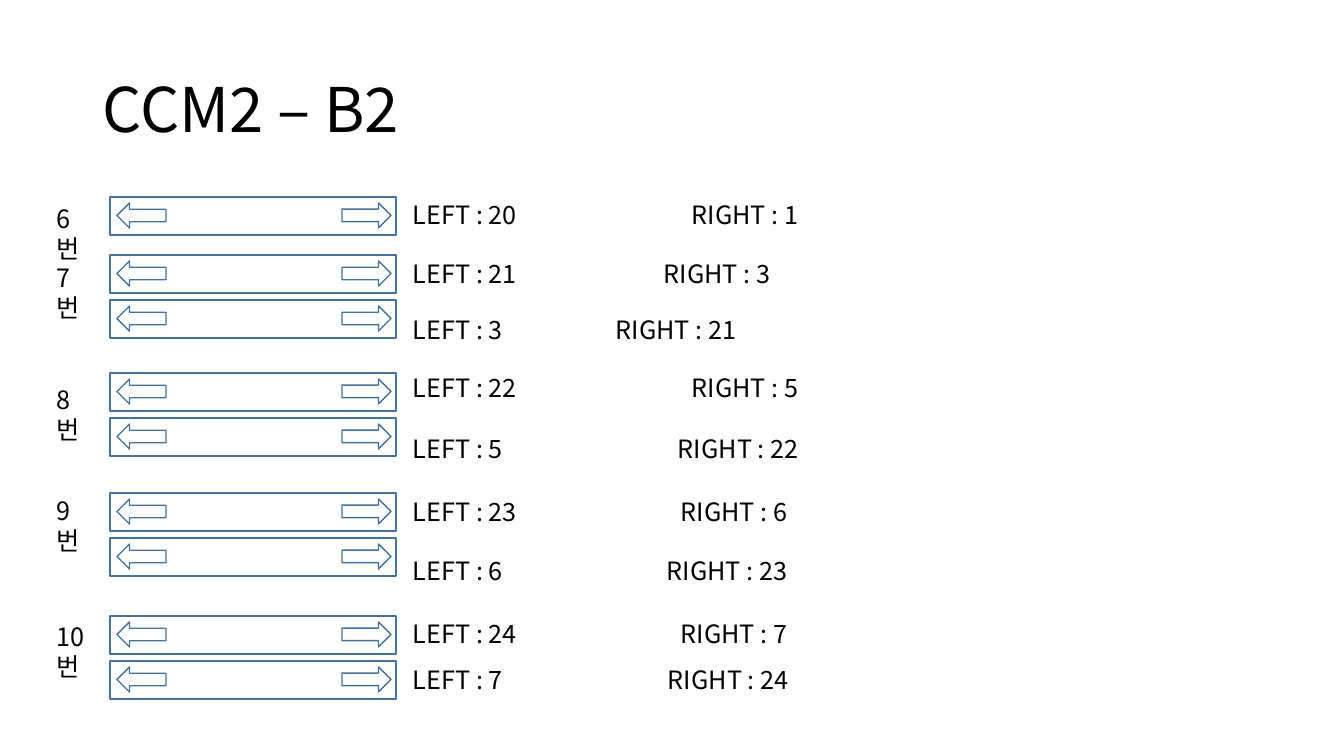
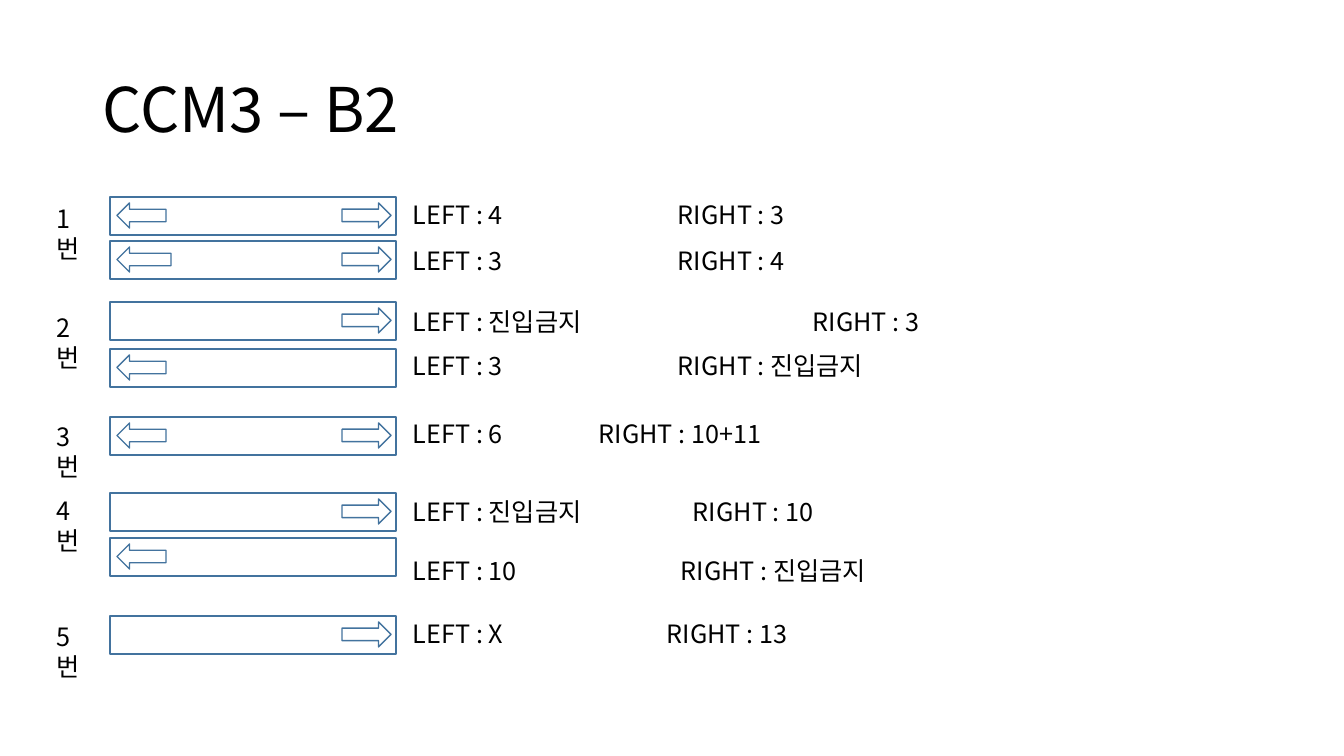
from lxml import etree
from pptx import Presentation
from pptx.dml.color import RGBColor
from pptx.enum.shapes import MSO_SHAPE
from pptx.enum.text import MSO_ANCHOR
from pptx.oxml.ns import qn
from pptx.util import Emu, Pt

RECT = MSO_SHAPE.RECTANGLE
ARROW = MSO_SHAPE.RIGHT_ARROW
MIDDLE = MSO_ANCHOR.MIDDLE
FONT = "Noto Sans CJK KR"
BLACK = "000000"
BLUE = "43739E"
SCALE = 914400 / 100.8  # EMU in one px

INSET = 10
LABEL_X, LABEL_W = 47, 50
BAR_X, BAR_W, BAR_H = 110, 286, 38
LEFT_X, RIGHT_X = 117, 342
ARROW_W, WIDE_W, ARROW_H = 49, 54, 25
PAIR_X, PAIR_W, LINE_H = 403, 600, 40

# labels: number, top
# rows: bar top, left arrow width, right arrow width (0 for none),
#       text top, left value, right value, start of the right text
SLIDES = [
    ("CCM2 – B2",
     [(6, 198), (7, 257), (8, 379), (9, 490), (10, 616)],
     [(197, ARROW_W, ARROW_W, 194, "20", "1", 692),
      (255, ARROW_W, ARROW_W, 253, "21", "3", 664),
      (300, ARROW_W, ARROW_W, 309, "3", "21", 616),
      (373, ARROW_W, ARROW_W, 367, "22", "5", 692),
      (418, ARROW_W, ARROW_W, 428, "5", "22", 678),
      (493, ARROW_W, ARROW_W, 491, "23", "6", 681),
      (538, ARROW_W, ARROW_W, 550, "6", "23", 667),
      (616, ARROW_W, ARROW_W, 613, "24", "7", 681),
      (661, ARROW_W, ARROW_W, 659, "7", "24", 668)]),
    ("CCM3 – B2",
     [(1, 198), (2, 307), (3, 416), (4, 490), (5, 616)],
     [(197, ARROW_W, ARROW_W, 194, "4", "3", 678),
      (241, WIDE_W, ARROW_W, 240, "3", "4", 678),
      (302, 0, ARROW_W, 301, "진입금지", "3", 813),
      (349, ARROW_W, 0, 345, "3", "진입금지", 678),
      (417, ARROW_W, ARROW_W, 413, "6", "10+11", 599),
      (493, 0, ARROW_W, 491, "진입금지", "10", 693),
      (538, ARROW_W, 0, 550, "10", "진입금지", 681),
      (616, 0, ARROW_W, 613, "X", "13", 667)]),
]


def draw(slide, kind, *place):
    """Add an unfilled shape with a thin blue outline; place is in px."""
    shape = slide.shapes.add_shape(kind, *[Emu(round(v * SCALE)) for v in place])
    shape.shadow.inherit = False
    shape.fill.background()
    shape.line.color.rgb = RGBColor.from_string(BLUE)
    shape.line.width = Pt(1)
    return shape


def write(slide, text, size, *place, tab=0):
    """Add a wrapped line of text, with an optional tab stop in px."""
    box = slide.shapes.add_textbox(*[Emu(round(v * SCALE)) for v in place])
    frame = box.text_frame
    frame.word_wrap = True
    para = frame.paragraphs[0]
    if tab:
        stops = etree.SubElement(para._p.get_or_add_pPr(), qn("a:tabLst"))
        etree.SubElement(stops, qn("a:tab"), pos=str(round(tab * SCALE)), algn="l")
    run = para.add_run()
    run.text = text
    run.font.size = Pt(size)
    run.font.name = FONT
    run.font.color.rgb = RGBColor.from_string(BLACK)
    etree.SubElement(run._r.get_or_add_rPr(), qn("a:ea"), typeface=FONT)
    return frame


deck = Presentation()
deck.slide_width = Emu(round(1344 * SCALE))
deck.slide_height = Emu(round(756 * SCALE))

for title, labels, rows in SLIDES:
    slide = deck.slides.add_slide(deck.slide_layouts[6])
    head = write(slide, title, 44, 93, 40, 1159, 146)
    head.vertical_anchor = MIDDLE
    head.paragraphs[0].line_spacing = 0.9

    for num, top in labels:
        write(slide, f"{num}번", 18, LABEL_X, top, LABEL_W, LINE_H)

    for top, left_w, right_w, line_y, left, right, start in rows:
        draw(slide, RECT, BAR_X, top, BAR_W, BAR_H)
        if left_w:
            arrow = draw(slide, ARROW, LEFT_X, top + 6, left_w, ARROW_H)
            arrow.rotation = 180
        if right_w:
            draw(slide, ARROW, RIGHT_X, top + 6, right_w, ARROW_H)
        write(slide, f"LEFT : {left}\tRIGHT : {right}", 18,
              PAIR_X, line_y, PAIR_W, LINE_H, tab=start - PAIR_X - INSET)

deck.save("out.pptx")
